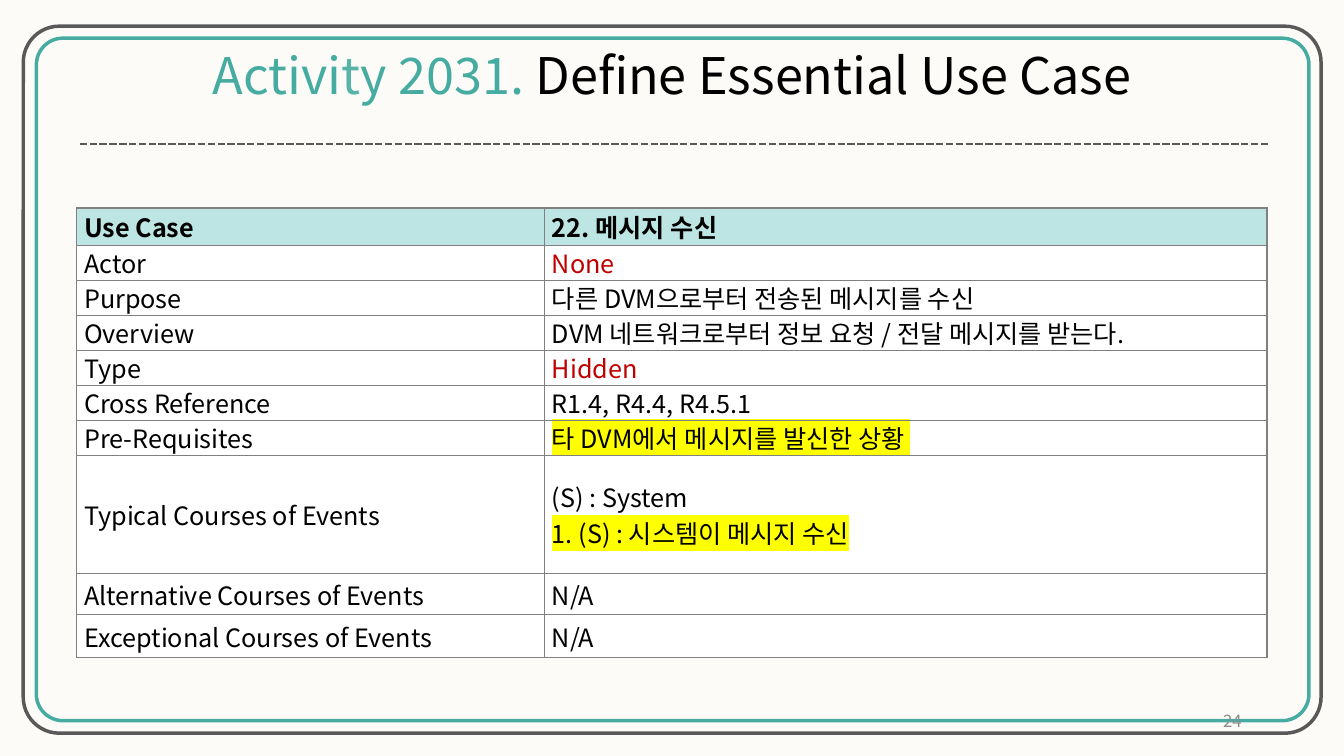
"""Build the use case slide for receiving a message."""
from lxml.etree import SubElement
from pptx import Presentation
from pptx.dml.color import RGBColor
from pptx.enum.dml import MSO_LINE
from pptx.enum.shapes import MSO_CONNECTOR, MSO_SHAPE
from pptx.enum.text import MSO_ANCHOR, PP_ALIGN
from pptx.oxml.ns import qn
from pptx.util import Pt

FONT = "Noto Sans CJK KR"
HUES = {"back": "FCFBF7", "teal": "46ACA1", "mid": "57B4A9", "dark": "595959",
        "black": "000000", "red": "C00000", "pale": "BDE5E3", "white": "FFFFFF",
        "edge": "808080", "mark": "FFFF00", "grey": "8C8C8C"}


def hue(name):
    return RGBColor.from_string(HUES[name])


def write(para, text, size=18, color="black", bold=False, mark=None, align=PP_ALIGN.LEFT):
    para.alignment = align
    run = para.add_run()
    run.text = text
    font = run.font
    font.size, font.bold = Pt(size), bold
    font.color.rgb = hue(color)
    props = run._r.get_or_add_rPr()
    if mark:
        light = SubElement(props, qn("a:highlight"))
        SubElement(light, qn("a:srgbClr"), val=HUES[mark])
    font.name = FONT
    SubElement(props, qn("a:ea"), typeface=FONT)


deck = Presentation()
deck.slide_width, deck.slide_height = Pt(960), Pt(540)
slide = deck.slides.add_slide(deck.slide_layouts[6])
slide.background.fill.solid()
slide.background.fill.fore_color.rgb = hue("back")
shapes = slide.shapes

title = shapes.add_textbox(Pt(144.7), Pt(28), Pt(671), Pt(51)).text_frame
title.word_wrap = False
for text, color in [("Activi", "teal"), ("t", "mid"), ("y 2031. ", "teal"),
                    ("Define Essential Use Case", "black")]:
    write(title.paragraphs[0], text, size=36, color=color, align=PP_ALIGN.CENTER)

for left, top, width, height, bend, color in [
        (26, 27.3, 909, 487.5, 0.039, "teal"), (16.6, 18.7, 927, 505, 0.051, "dark")]:
    frame = shapes.add_shape(MSO_SHAPE.ROUNDED_RECTANGLE, Pt(left), Pt(top), Pt(width), Pt(height))
    frame.adjustments[0] = bend
    frame.shadow.inherit = False
    frame.fill.background()
    frame.line.color.rgb = hue(color)
    frame.line.width = Pt(2.5)

rule = shapes.add_connector(MSO_CONNECTOR.STRAIGHT, Pt(57), Pt(103), Pt(907), Pt(103))
rule.line.color.rgb = hue("dark")
rule.line.width = Pt(1.75)
rule.line.dash_style = MSO_LINE.SQUARE_DOT
SubElement(rule._element.spPr, qn("a:effectLst"))

ROWS = [
    ("Use Case", 26.8, [("22. 메시지 수신", {})]),
    ("Actor", 25, [("None", {"color": "red"})]),
    ("Purpose", 25, [("다른 DVM으로부터 전송된 메시지를 수신", {})]),
    ("Overview", 25, [("DVM 네트워크로부터 정보 요청 / 전달 메시지를 받는다.", {})]),
    ("Type", 25, [("Hidden\u00a0", {"color": "red"})]),
    ("Cross Reference", 25, [("R1.4, R4.4, R4.5.1", {})]),
    ("Pre-Requisites", 25, [("타 DVM에서 메시지를 발신한 상황\u00a0", {"mark": "mark"})]),
    ("Typical Courses of Events", 84.6,
     [("(S) : System", {}), ("1. (S) : 시스템이 메시지 수신", {"mark": "mark"})]),
    ("Alternative Courses of Events", 29.4, [("N/A", {})]),
    ("Exceptional Courses of Events", 30.4, [("N/A", {})]),
]
total = sum(high for name, high, lines in ROWS)
table = shapes.add_table(len(ROWS), 2, Pt(54.7), Pt(148.6), Pt(850.4), Pt(total)).table
table.columns[0].width, table.columns[1].width = Pt(334.2), Pt(516.2)
for row, (name, high, lines) in enumerate(ROWS):
    table.rows[row].height = Pt(high)
    for col, parts in enumerate([[(name, {})], lines]):
        cell = table.cell(row, col)
        cell.vertical_anchor = MSO_ANCHOR.MIDDLE
        cell.margin_left = cell.margin_right = Pt(5.4)
        cell.margin_top = cell.margin_bottom = 0
        for pos, side in enumerate(["lnL", "lnR", "lnT", "lnB"]):
            edge = SubElement(cell._tc.get_or_add_tcPr(), qn("a:" + side), w=str(Pt(1)))
            paint = SubElement(edge, qn("a:solidFill"))
            SubElement(paint, qn("a:srgbClr"), val=HUES["edge"])
        cell.fill.solid()
        cell.fill.fore_color.rgb = hue("white" if row else "pale")
        body = cell.text_frame
        for pos, (text, style) in enumerate(parts):
            para = body.add_paragraph() if pos else body.paragraphs[0]
            if high == 25:
                para.line_spacing = 0.95
            write(para, text, bold=row == 0, **style)

page = shapes.add_textbox(Pt(678), Pt(500.5), Pt(216), Pt(28.8)).text_frame
page.word_wrap = True
page.vertical_anchor = MSO_ANCHOR.MIDDLE
write(page.paragraphs[0], "24", size=12, color="grey", align=PP_ALIGN.RIGHT)

deck.save("out.pptx")
